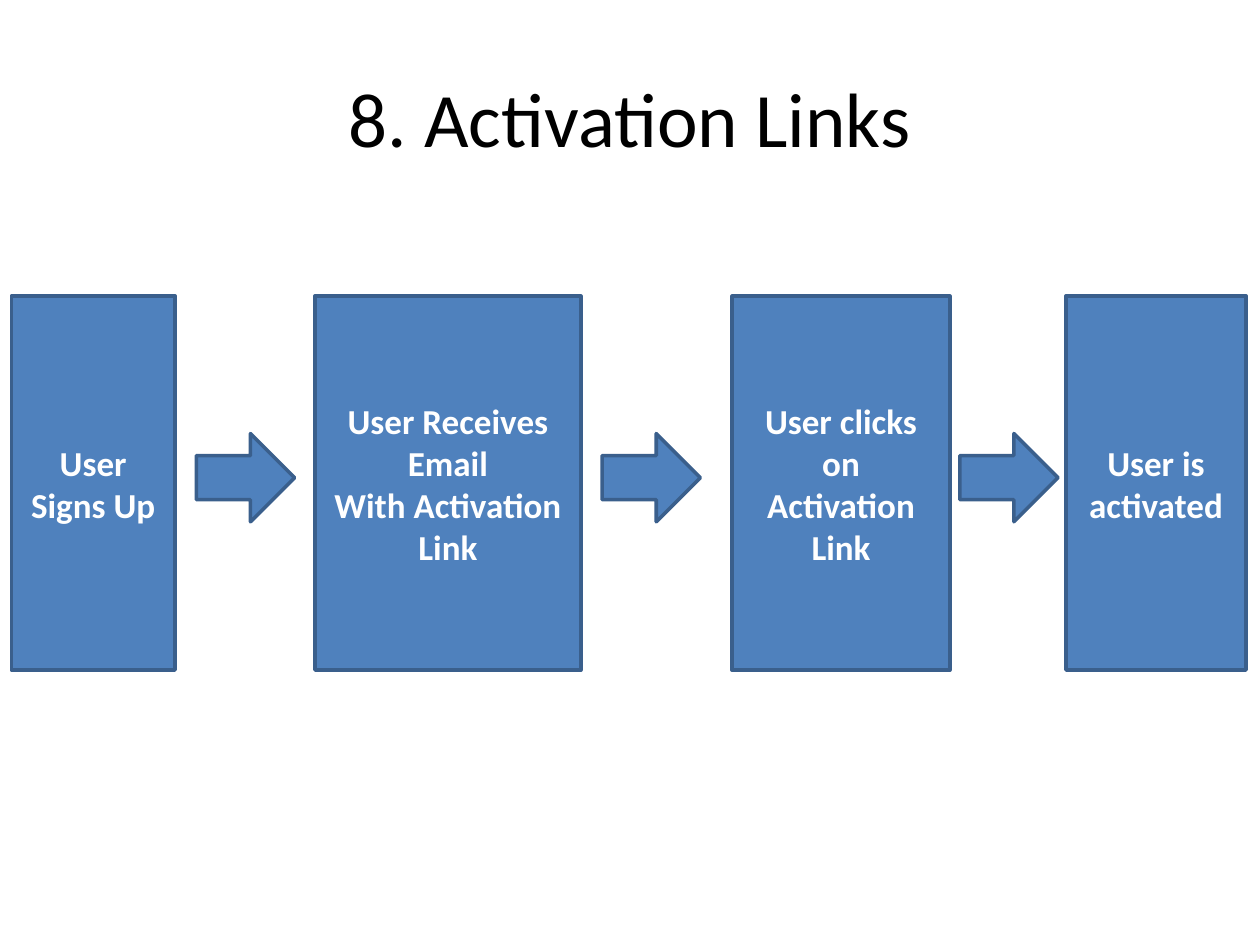
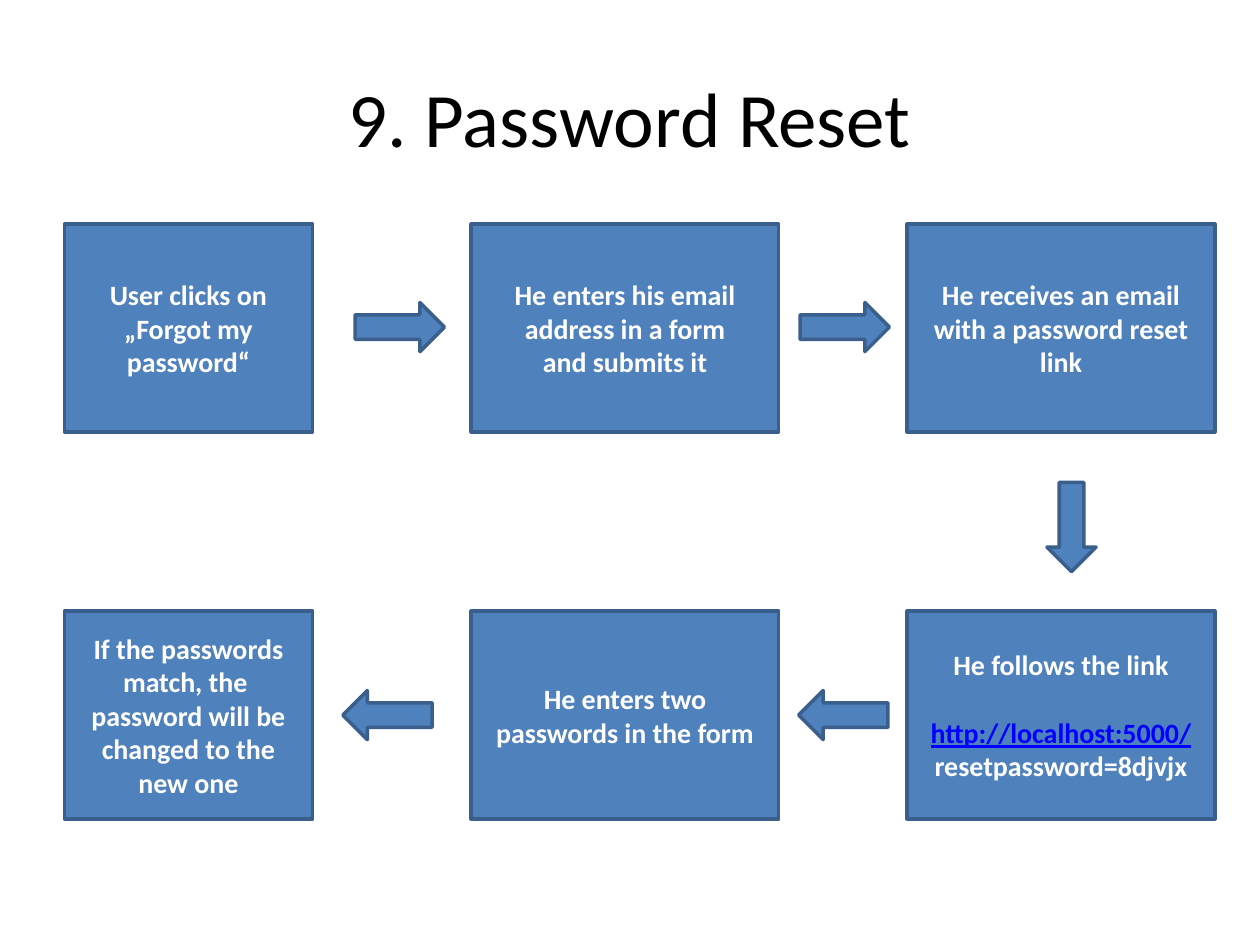
"""Build two flow slides: account activation and password reset."""
from pptx import Presentation
from pptx.dml.color import RGBColor
from pptx.enum.shapes import MSO_SHAPE
from pptx.enum.text import MSO_ANCHOR, PP_ALIGN
from pptx.util import Cm, Pt

COLOURS = {"fill": "4F81BD", "line": "3A5F8C", "title": "000000",
           "text": "FFFFFF", "link": "0000FF"}
TITLE_AREA = (1.27, 0.76, 22.86, 3.18)
LINK = "http://localhost:5000/"

ACTIVATION = {
    "title": "8. Activation Links",
    "size": 20,
    "columns": [(0.23, 3.3), (6.35, 5.36), (14.76, 4.39), (21.49, 3.63)],
    "rows": [5.97],
    "height": 7.54,
    "arrow": (1.98, 1.78),
    "steps": [
        (0, 0, ["User Signs Up"]),
        (0, 1, ["User Receives Email", "With Activation Link"]),
        (0, 2, ["User clicks on Activation Link"]),
        (0, 3, ["User is activated"]),
    ],
    "arrows": [(3.96, 8.74, 0), (12.14, 8.74, 0), (19.35, 8.74, 0)],
}

RESET = {
    "title": "9. Password Reset",
    "size": 16,
    "columns": [(1.3, 5.0), (9.5, 6.2), (18.29, 6.2)],
    "rows": [4.52, 12.32],
    "height": 4.19,
    "arrow": (1.8, 0.99),
    "steps": [
        (0, 0, ["User clicks on „Forgot my password“"]),
        (0, 1, ["He enters his email address in a form", "and submits it"]),
        (0, 2, ["He receives an email with a password reset", "link"]),
        (1, 2, ["He follows the link", LINK, "resetpassword=8djvjx"]),
        (1, 1, ["He enters two passwords in the form"]),
        (1, 0, ["If the passwords match, the ",
                "password will be changed to the new one"]),
    ],
    "arrows": [(7.16, 6.1, 0), (16.13, 6.1, 0), (20.7, 10.13, 90),
               (16.1, 13.92, 180), (6.91, 13.92, 180)],
}


def colour(name):
    """Return the named palette colour."""
    return RGBColor.from_string(COLOURS[name])


def set_all(target, values):
    """Set each attribute in a dict of format values."""
    for name, value in values.items():
        setattr(target, name, value)


def write(frame, lines, font, ink):
    """Write centred paragraphs, setting links apart from the text above."""
    set_all(frame, {"word_wrap": True, "vertical_anchor": MSO_ANCHOR.MIDDLE})
    for index, line in enumerate(lines):
        para = frame.add_paragraph() if index else frame.paragraphs[0]
        para.alignment = PP_ALIGN.CENTER
        span = para.add_run()
        span.text = line
        set_all(span.font, {"name": "Calibri", **font})
        span.font.color.rgb = colour(ink)
        if line == LINK:
            para.space_before = Pt(19.5)
            span.font.underline = True
            span.font.color.rgb = colour("link")


def add_block(page, kind, area):
    """Add a filled, outlined shape."""
    block = page.shapes.add_shape(kind, *map(Cm, area))
    block.shadow.inherit = False
    block.fill.solid()
    block.fill.fore_color.rgb = colour("fill")
    block.line.color.rgb = colour("line")
    block.line.width = Pt(2)
    return block


def add_flow(deck, flow):
    """Add one slide with its title, step boxes and arrows."""
    page = deck.slides.add_slide(deck.slide_layouts[5])
    title = page.shapes.title
    places = map(Cm, TITLE_AREA)
    set_all(title, dict(zip(("left", "top", "width", "height"), places)))
    write(title.text_frame, [flow["title"]], {"size": Pt(44)}, "title")
    for row, column, lines in flow["steps"]:
        left, width = flow["columns"][column]
        area = (left, flow["rows"][row], width, flow["height"])
        box = add_block(page, MSO_SHAPE.RECTANGLE, area)
        font = {"size": Pt(flow["size"]), "bold": True}
        write(box.text_frame, lines, font, "text")
    for left, top, turn in flow["arrows"]:
        area = (left, top, *flow["arrow"])
        add_block(page, MSO_SHAPE.RIGHT_ARROW, area).rotation = turn


deck = Presentation()
set_all(deck, {"slide_width": Cm(25.4), "slide_height": Cm(19.05)})
for flow in (ACTIVATION, RESET):
    add_flow(deck, flow)
deck.save("out.pptx")
